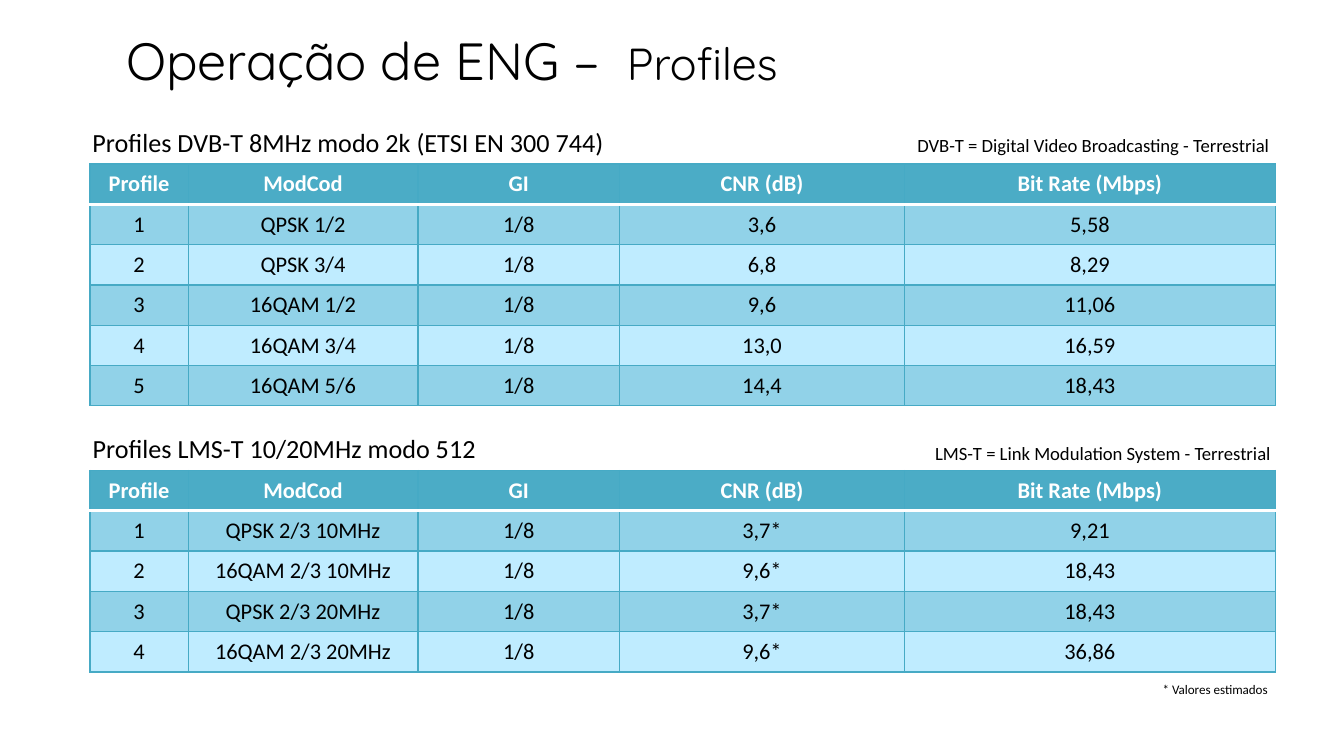
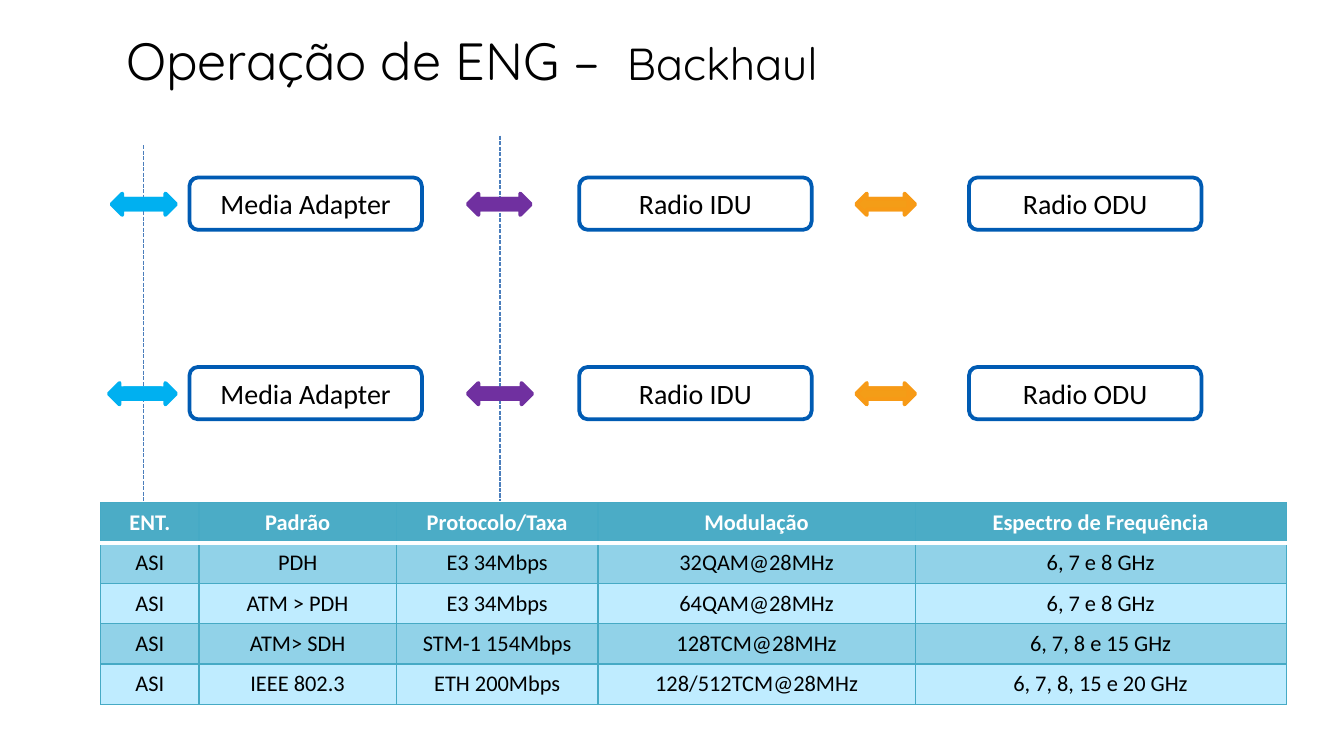
from lxml import etree
from pptx import Presentation
from pptx.dml.color import RGBColor
from pptx.enum.dml import MSO_LINE
from pptx.enum.shapes import MSO_CONNECTOR, MSO_SHAPE
from pptx.enum.text import MSO_ANCHOR, MSO_AUTO_SIZE, PP_ALIGN
from pptx.oxml.ns import qn
from pptx.util import Emu, Pt

LEFT, CENTER, RIGHT = PP_ALIGN.LEFT, PP_ALIGN.CENTER, PP_ALIGN.RIGHT
MIDDLE = MSO_ANCHOR.MIDDLE
FIT_TEXT = MSO_AUTO_SIZE.SHAPE_TO_FIT_TEXT
ROUNDED, ARROW = MSO_SHAPE.ROUNDED_RECTANGLE, MSO_SHAPE.RIGHT_ARROW
STRAIGHT, DASHED = MSO_CONNECTOR.STRAIGHT, MSO_LINE.SQUARE_DOT

PX = 9144  # 100 px to the inch
COLORS = {
    "black": "000000", "white": "FFFFFF",
    "header": "4BACC6", "grid": "46AAC5", "odd": "91D2E8", "even": "BFECFF",
    "block": "005BB3", "guide": "4B7EBC",
    "blue": "00B0F0", "purple": "7030A0", "orange": "F49D17", "orange line": "F79A16",
}
ROW_HEIGHT = 30
PROFILE_HEADER = ["Profile", "ModCod", "GI", "CNR (dB)", "Bit Rate (Mbps)"]
PROFILE_WIDTHS = [73, 171, 150, 212, 276]


def px(*lengths):
    return [Emu(length * PX) for length in lengths]


def color(name):
    return RGBColor.from_string(COLORS[name])


class Pages:
    """Holds the deck, its style and the page being drawn."""

    def __init__(self):
        self.deck = Presentation()
        self.deck.slide_width = px(1000)[0]
        self.deck.slide_height = Emu(self.deck.slide_width * 9 // 16)
        self.page = None

    def add_page(self, topic):
        self.page = self.deck.slides.add_slide(self.deck.slide_layouts[6])
        para = self.text("Operação de ENG – ", (84, 16, 779, 57), 28, font="Quicksand")
        span = para.add_run()
        span.text = " " + topic
        self.style(span, 24, font="Quicksand")

    def style(self, span, size, ink="black", bold=False, font="Calibri"):
        span.font.name, span.font.size, span.font.bold = font, Pt(size), bold
        span.font.color.rgb = color(ink)

    def text(self, words, place, size, align=LEFT, wrap=True, font="Calibri"):
        frame = self.page.shapes.add_textbox(*px(*place)).text_frame
        frame.word_wrap, frame.auto_size = wrap, FIT_TEXT
        frame.text = words
        para = frame.paragraphs[0]
        para.alignment = align
        self.style(para.runs[0], size, font=font)
        return para

    def shape(self, kind, place, fill, line):
        shape = self.page.shapes.add_shape(kind, *px(*place))
        shape.shadow.inherit = False
        shape.fill.solid()
        shape.fill.fore_color.rgb = color(fill)
        shape.line.color.rgb, shape.line.width = color(line), Pt(2)
        return shape

    def block(self, words, left, top):
        frame = self.shape(ROUNDED, (left, top, 173, 39), "white", "block").text_frame
        frame.text = words
        frame.vertical_anchor = MIDDLE
        para = frame.paragraphs[0]
        para.alignment = CENTER
        self.style(para.runs[0], 15)

    def arrow(self, left, top, fill, flipped=False):
        line = "orange line" if fill == "orange" else fill
        shape = self.shape(ARROW, (left, top, 39, 16), fill, line)
        if flipped:
            shape.element.spPr.find(qn("a:xfrm")).set("flipH", "1")

    def guide(self, x, top, bottom):
        guide = self.page.shapes.add_connector(STRAIGHT, *px(x, top, x, bottom))
        guide.line.color.rgb, guide.line.width = color("guide"), Pt(0.75)
        guide.line.dash_style = DASHED
        etree.SubElement(guide.element.spPr, qn("a:effectLst"))

    def border(self, cell, side, ink, width):
        line = etree.SubElement(cell._tc.get_or_add_tcPr(), qn("a:ln" + side), w=str(Pt(width)))
        fill = etree.SubElement(line, qn("a:solidFill"))
        etree.SubElement(fill, qn("a:srgbClr"), val=COLORS[ink])

    def table(self, left, top, widths, rows):
        place = px(left, top, sum(widths), ROW_HEIGHT * len(rows))
        table = self.page.shapes.add_table(len(rows), len(widths), *place).table
        for column, width in zip(table.columns, px(*widths)):
            column.width = width
        for r, row in enumerate(rows):
            table.rows[r].height = px(ROW_HEIGHT)[0]
            for c, words in enumerate(row):
                self.cell(table.cell(r, c), words, r)

    def cell(self, cell, words, r):
        """Fill one cell; a thick white rule parts row 0 from the rest."""
        cell.text = words
        cell.vertical_anchor = MIDDLE
        cell.margin_top, cell.margin_bottom = px(3, 3)
        para = cell.text_frame.paragraphs[0]
        para.alignment = CENTER
        self.style(para.runs[0], 12, "black" if r else "white", bold=r == 0)
        for side in "LRTB":
            is_rule = (r, side) in ((0, "B"), (1, "T"))
            self.border(cell, side, *(("white", 2) if is_rule else ("grid", 0.75)))
        cell.fill.solid()
        cell.fill.fore_color.rgb = color("header" if r == 0 else "odd" if r % 2 else "even")


def draw_profiles(pages):
    pages.add_page("Profiles")
    dvb_rows = [
        ["1", "QPSK 1/2", "1/8", "3,6", "5,58"],
        ["2", "QPSK 3/4", "1/8", "6,8", "8,29"],
        ["3", "16QAM 1/2", "1/8", "9,6", "11,06"],
        ["4", "16QAM 3/4", "1/8", "13,0", "16,59"],
        ["5", "16QAM 5/6", "1/8", "14,4", "18,43"],
    ]
    lms_rows = [
        ["1", "QPSK 2/3 10MHz", "1/8", "3,7*", "9,21"],
        ["2", "16QAM 2/3 10MHz", "1/8", "9,6*", "18,43"],
        ["3", "QPSK 2/3 20MHz", "1/8", "3,7*", "18,43"],
        ["4", "16QAM 2/3 20MHz", "1/8", "9,6*", "36,86"],
    ]
    pages.table(67, 122, PROFILE_WIDTHS, [PROFILE_HEADER] + dvb_rows)
    pages.text("Profiles DVB-T 8MHz modo 2k (ETSI EN 300 744)", (59, 89, 543, 34), 14)
    pages.table(67, 350, PROFILE_WIDTHS, [PROFILE_HEADER] + lms_rows)
    pages.text("Profiles LMS-T 10/20MHz modo 512", (59, 317, 308, 34), 14, wrap=False)
    for words, place, size in [
        ("LMS-T = Link Modulation System - Terrestrial", (680, 324, 275, 27), 10),
        ("DVB-T = Digital Video Broadcasting - Terrestrial", (667, 95, 287, 27), 10),
        ("* Valores estimados", (852, 502, 101, 22), 7),
    ]:
        pages.text(words, place, size, RIGHT, wrap=False)


def draw_backhaul(pages):
    pages.add_page("Backhaul")
    chain = ["Media Adapter", "Radio IDU", "Radio ODU"]
    inks = ["blue", "purple", "orange"]
    # Top of each chain, then the left edges of its right and left arrows
    chains = [
        (132, (92, 356, 642), (83, 348, 637)),
        (273, (92, 357, 642), (81, 348, 637)),
    ]
    for top, right_arrows, _ in chains:
        for i, words in enumerate(chain):
            pages.block(words, 141 + 290 * i, top)
        for left, ink in zip(right_arrows, inks):
            pages.arrow(left, top + 12, ink)
    pages.guide(107, 108, 374)
    pages.table(75, 374, [73, 147, 150, 236, 276], [
        ["ENT.", "Padrão", "Protocolo/Taxa", "Modulação", "Espectro de Frequência"],
        ["ASI", "PDH", "E3 34Mbps", "32QAM@28MHz", "6, 7 e 8 GHz"],
        ["ASI", "ATM > PDH", "E3 34Mbps", "64QAM@28MHz", "6, 7 e 8 GHz"],
        ["ASI", "ATM> SDH", "STM-1 154Mbps", "128TCM@28MHz", "6, 7, 8 e 15 GHz"],
        ["ASI", "IEEE 802.3", "ETH 200Mbps", "128/512TCM@28MHz", "6, 7, 8, 15 e 20 GHz"],
    ])
    pages.guide(372, 101, 373)
    for top, _, left_arrows in chains:
        for left, ink in zip(left_arrows, inks):
            pages.arrow(left, top + 12, ink, flipped=True)


def main():
    pages = Pages()
    draw_profiles(pages)
    draw_backhaul(pages)
    pages.deck.save("out.pptx")


if __name__ == "__main__":
    main()
